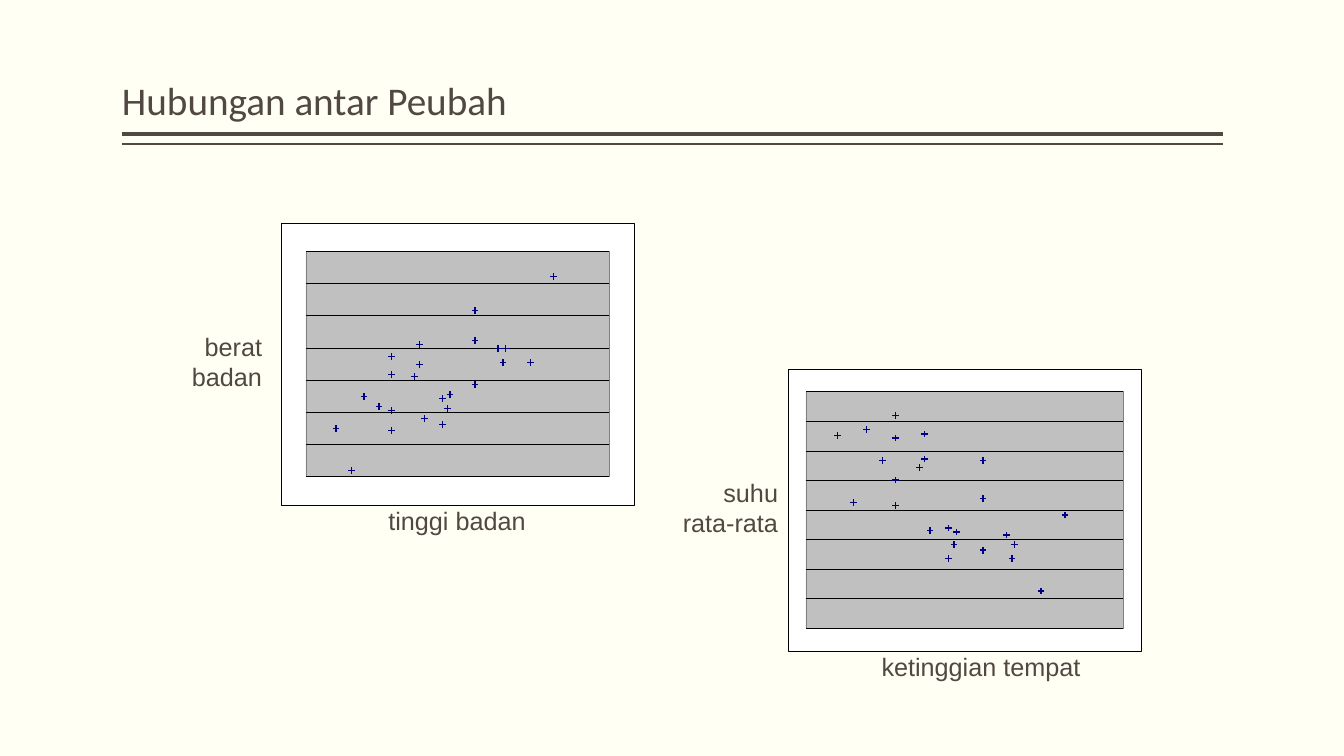
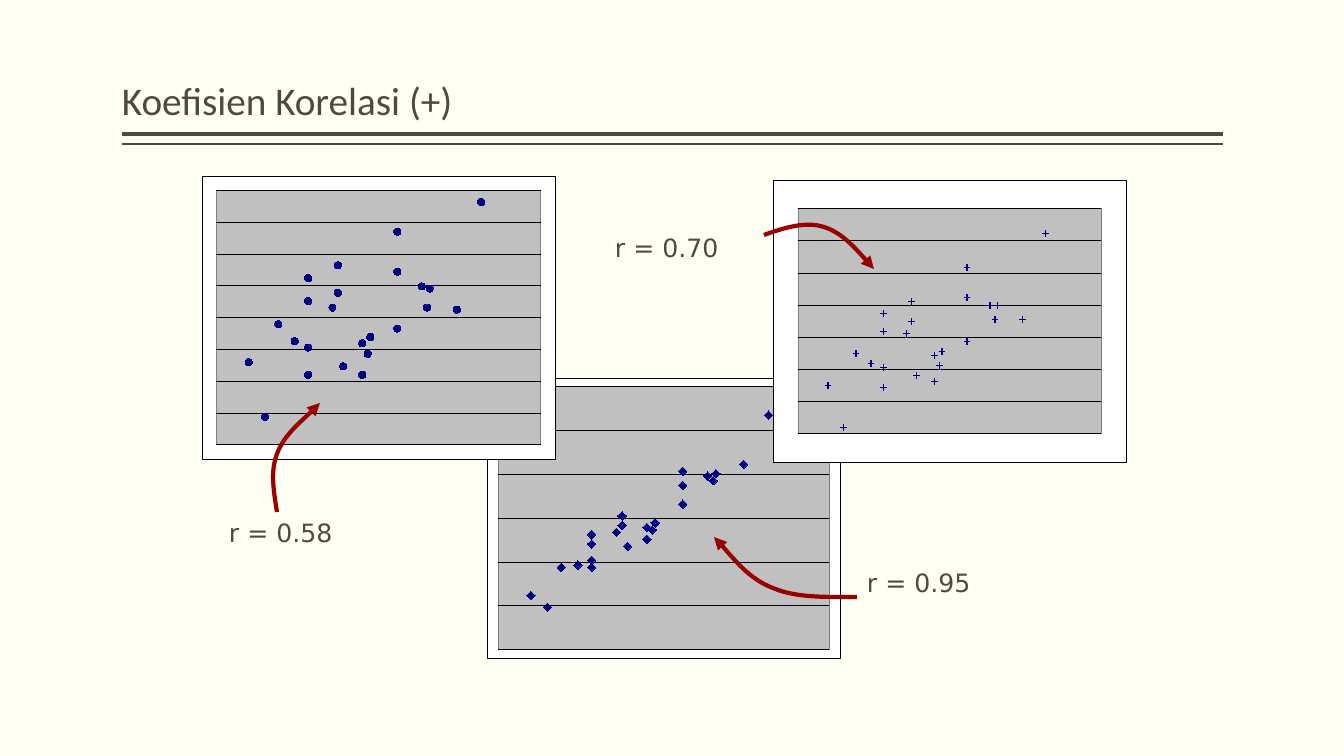
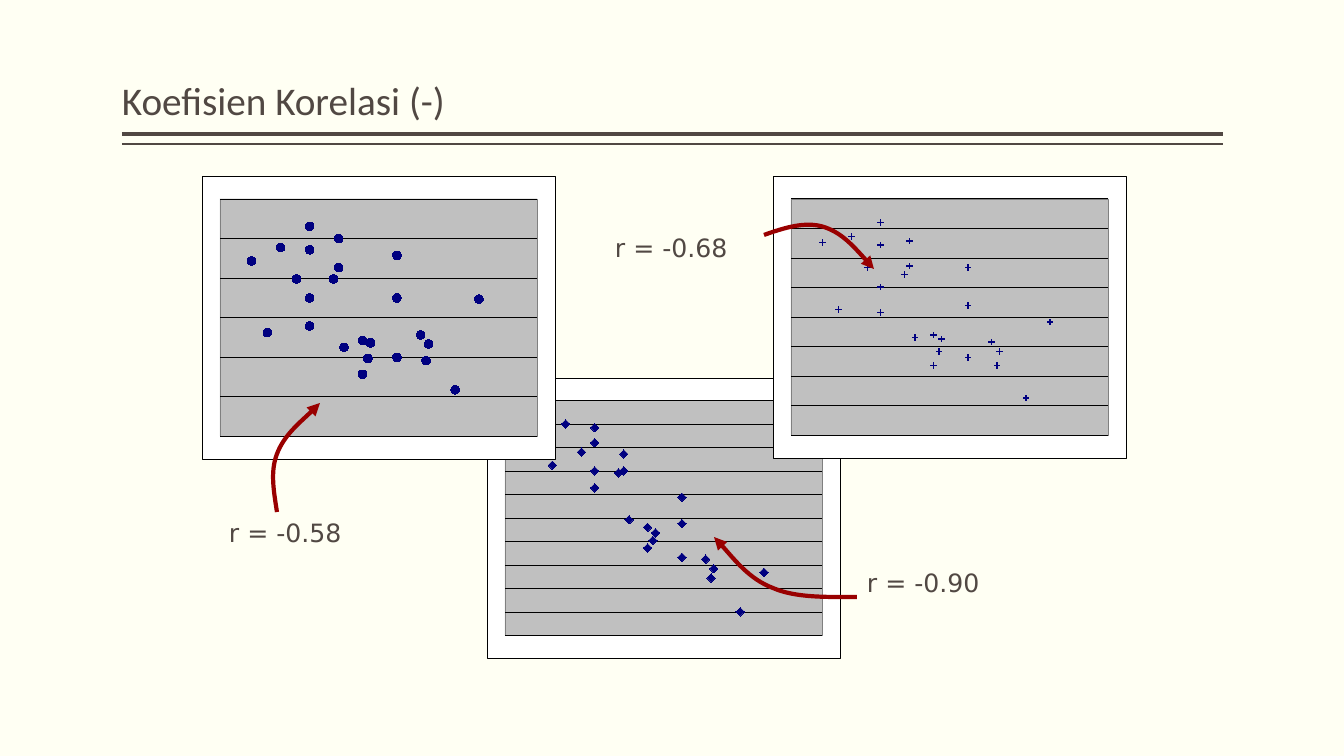
import collections

import pptx
import pptx.chart.data
import pptx.dml.color
import pptx.enum.chart
import pptx.enum.shapes
import pptx.enum.text
import pptx.oxml
import pptx.oxml.ns
import pptx.oxml.xmlchemy
import pptx.util

RGBColor = pptx.dml.color.RGBColor
Pt = pptx.util.Pt
qn = pptx.oxml.ns.qn
new_element = pptx.oxml.xmlchemy.OxmlElement
ALIGN = pptx.enum.text.PP_ALIGN
ANCHOR = pptx.enum.text.MSO_ANCHOR
MARKER = pptx.enum.chart.XL_MARKER_STYLE

EMU_PER_PX = 914400 / 100.8
IVORY = RGBColor(0xFF, 0xFF, 0xF3)
BROWN = RGBColor(0x51, 0x48, 0x43)
NAVY = RGBColor(0x00, 0x00, 0x80)
RED = RGBColor(0x99, 0x00, 0x00)
BLACK = RGBColor(0x00, 0x00, 0x00)
WHITE = RGBColor(0xFF, 0xFF, 0xFF)
SILVER = RGBColor(0xC0, 0xC0, 0xC0)
GREY = RGBColor(0x80, 0x80, 0x80)
HAIRLINE = 0.22

Box = collections.namedtuple("Box", "left top width height")
# The value axis runs from low to high, counted in steps of the given size.
Scatter = collections.namedtuple("Scatter", "values step low high margin_x margin_y marker size")

X_VALUES = [54, 34, 57, 23, 89, 76, 54, 67, 34, 56, 78, 34,
            67, 45, 47, 98, 12, 18, 43, 67, 45, 34, 29, 79]
POSITIVE_WEAK = Scatter(
    [18, 53, 36, 42, 49, 60, 33, 40, 31, 28, 50, 64,
     67, 70, 22, 100, 24, -2, 50, 86, 57, 18, 34, 59],
    15.1, -1, 7, 0.04, 0.05, MARKER.CIRCLE, 5)
POSITIVE_MEDIUM = Scatter(
    [26, 51, 41, 40, 57, 64, 39, 46, 33, 34, 57, 60,
     68, 66, 29, 100, 24, 3, 50, 83, 56, 23, 35, 64],
    16.1, 0, 7, 0.07, 0.1, MARKER.PLUS, 4)
POSITIVE_STRONG = Scatter(
    [47, 45, 54, 35, 79, 74, 52, 62, 38, 51, 72, 49,
     70, 57, 44, 100, 23, 18, 50, 76, 53, 35, 36, 75],
    18.7, 0, 6, 0.03, 0.03, MARKER.DIAMOND, 6)
NEGATIVE_WEAK = Scatter(
    [-86, 25, -58, 27, -100, -51, -56, -71, -18, -72, -74, 46,
     -18, 35, -62, -19, 15, -49, -1, 20, 9, -43, -1, -59],
    35.3, -4, 2, 0.05, 0.08, MARKER.CIRCLE, 6)
NEGATIVE_MEDIUM = Scatter(
    [-77, 9, -58, 15, -100, -60, -55, -71, -21, -67, -77, 25,
     -34, 12, -57, -46, 11, -37, -12, -7, -6, -39, -7, -67],
    21.1, -6, 2, 0.05, 0.08, MARKER.PLUS, 4)
NEGATIVE_STRONG = Scatter(
    [-66, -10, -58, 0, -100, -72, -55, -71, -25, -62, -82, -2,
     -53, -16, -51, -79, 5, -22, -26, -39, -25, -34, -15, -77],
    12.5, -9, 1, 0.05, 0.08, MARKER.DIAMOND, 6)

# Arrow curves: a start, then two controls and an end per bend,
# all measured from the top left corner of the label.
ARROW_UP = [(58, 0), (55, -20), (51, -40), (58, -58), (65, -77), (94, -101), (101, -109)]
ARROW_RIGHT = [(159, 8), (179, 1), (200, -6), (219, 0), (237, 6), (253, 24), (269, 42)]
ARROW_LEFT = [(0, 35), (-30, 35), (-61, 36), (-84, 26), (-108, 17), (-133, -15), (-143, -25)]


def px(length):
    return pptx.util.Emu(round(length * EMU_PER_PX))


def emu_box(box):
    return [px(length) for length in box]


def add_text(page, box, text, font="Arial", size=18, align=ALIGN.LEFT,
             anchor=ANCHOR.TOP, side_inset=10, line_spacing=None):
    frame = page.shapes.add_textbox(*emu_box(box)).text_frame
    frame.word_wrap = True
    frame.vertical_anchor = anchor
    frame.margin_left = frame.margin_right = px(side_inset)
    frame.margin_top = frame.margin_bottom = px(5)
    frame.text = text
    for para in frame.paragraphs:
        para.alignment = align
        para.line_spacing = line_spacing
        for span in para.runs:
            span.font.name = font
            span.font.size = Pt(size)
            span.font.color.rgb = BROWN


def add_rule(page, left, right, y, weight):
    rule = page.shapes.add_connector(
        pptx.enum.shapes.MSO_CONNECTOR.STRAIGHT, px(left), px(y), px(right), px(y))
    rule.line.color.rgb = BROWN
    rule.line.width = Pt(weight)
    rule._element.spPr.append(new_element("a:effectLst"))


def add_page(deck, title):
    """A page with its title and the double rule below it."""
    page = deck.slides.add_slide(deck.slide_layouts[6])
    box = Box(122, 8, 1101, 121)
    bottom = box.top + box.height
    for gap, weight in ((5, 3), (15, 1)):
        add_rule(page, box.left, box.left + box.width, bottom + gap, weight)
    add_text(page, box, title, font="Calibri", size=28, anchor=ANCHOR.BOTTOM,
             side_inset=0, line_spacing=0.9)
    return page


def area_format(fill, line):
    return pptx.oxml.parse_xml(
        f'<c:spPr {pptx.oxml.ns.nsdecls("c", "a")}>'
        f'<a:solidFill><a:srgbClr val="{fill}"/></a:solidFill>'
        f'<a:ln w="{int(Pt(HAIRLINE))}"><a:solidFill><a:srgbClr val="{line}"/></a:solidFill></a:ln>'
        '</c:spPr>')


def plot_layout(margin_x, margin_y):
    places = {"x": margin_x, "y": margin_y, "w": 1 - 2 * margin_x, "h": 1 - 2 * margin_y}
    parts = "".join(f'<c:{side}Mode val="edge"/>' for side in "xy")
    parts += "".join(f'<c:{name} val="{value:.2f}"/>' for name, value in places.items())
    return pptx.oxml.parse_xml(
        f'<c:layout {pptx.oxml.ns.nsdecls("c")}><c:manualLayout>'
        f'<c:layoutTarget val="inner"/>{parts}</c:manualLayout></c:layout>')


def add_scatter(page, box, scatter):
    data = pptx.chart.data.XyChartData()
    points = data.add_series("Series 1")
    for x, y in zip(X_VALUES, scatter.values):
        points.add_data_point(x, y)
    chart = page.shapes.add_chart(
        pptx.enum.chart.XL_CHART_TYPE.XY_SCATTER, *emu_box(box), data).chart
    chart.has_legend = False
    chart.has_title = False
    chart.font.name = "Arial"
    chart.font.size = Pt(4)
    chart.font.color.rgb = BLACK

    # Axes: only the horizontal grid shows
    across, up = chart.category_axis, chart.value_axis
    across.minimum_scale, across.maximum_scale, across.major_unit = 0, 120, 20
    up.minimum_scale = round(scatter.low * scatter.step, 2)
    up.maximum_scale = round(scatter.high * scatter.step, 2)
    up.major_unit = scatter.step
    across.visible = up.visible = False
    across.has_major_gridlines = False
    up.has_major_gridlines = True
    grid = up.major_gridlines.format.line
    grid.color.rgb = BLACK
    grid.width = Pt(HAIRLINE)

    # Markers without a joining line
    chart.plots[0].vary_by_categories = False
    series = chart.plots[0].series[0]
    series.smooth = False
    series.format.line.fill.background()
    marker = series.marker
    marker.style = scatter.marker
    marker.size = scatter.size
    marker.format.fill.solid()
    marker.format.fill.fore_color.rgb = NAVY
    marker.format.line.color.rgb = NAVY

    # White frame around a grey plot area
    space = chart._chartSpace
    space.find(qn("c:chart")).addnext(area_format(WHITE, BLACK))
    plot_area = space.find(qn("c:chart")).find(qn("c:plotArea"))
    for layout in plot_area.findall(qn("c:layout")):
        plot_area.remove(layout)
    plot_area.insert(0, plot_layout(scatter.margin_x, scatter.margin_y))
    plot_area.append(area_format(SILVER, GREY))


def add_curved_arrow(page, points):
    builder = page.shapes.build_freeform(*points[0], scale=EMU_PER_PX)
    builder.add_line_segments(points[1:], close=False)
    arrow = builder.convert_to_shape()
    arrow.shadow.inherit = False
    arrow.fill.background()
    arrow.line.color.rgb = RED
    arrow.line.width = Pt(3)
    # Turn each three segments into one Bezier bend
    segments = list(arrow._element.iter(qn("a:lnTo")))
    for start in range(0, len(segments), 3):
        bend = new_element("a:cubicBezTo")
        segments[start].addprevious(bend)
        for segment in segments[start:start + 3]:
            bend.append(segment[0])
            segment.getparent().remove(segment)
    head = new_element("a:tailEnd")
    head.set("type", "triangle")
    arrow.line._get_or_add_ln().append(head)


def add_callout(page, box, text, curve):
    add_text(page, box, text, font="DejaVu Sans")
    add_curved_arrow(page, [(box.left + x, box.top + y) for x, y in curve])


def add_labelled_scatter(page, box, scatter, x_label, x_shift, y_label, y_shift, y_width):
    """A scatter with one label below it and one on its left."""
    add_scatter(page, box, scatter)
    add_text(page, Box(box.left + x_shift, box.top + box.height - 5, 252, 40),
             x_label, align=ALIGN.CENTER)
    add_text(page, Box(box.left + y_shift - y_width, box.top + 103, y_width, 72),
             y_label, align=ALIGN.RIGHT)


def variables_page(deck):
    page = add_page(deck, "Hubungan antar Peubah")
    add_labelled_scatter(page, Box(281, 223, 353, 282), POSITIVE_MEDIUM,
                         "tinggi badan", 50, "berat\nbadan", -9, 93)
    add_labelled_scatter(page, Box(788, 369, 353, 282), NEGATIVE_MEDIUM,
                         "ketinggian tempat", 67, "suhu rata-rata", 0, 118)


def correlation_page(deck, title, weak, medium, strong, medium_top):
    """Three overlapping scatters; each is a pair of data and coefficient."""
    page = add_page(deck, title)
    add_scatter(page, Box(487, 378, 353, 280), strong[0])
    add_scatter(page, Box(202, 176, 353, 283), weak[0])
    add_scatter(page, Box(773, medium_top, 353, 282), medium[0])
    for left, top, text, curve in ((219, 512, weak[1], ARROW_UP),
                                   (605, 227, medium[1], ARROW_RIGHT),
                                   (857, 562, strong[1], ARROW_LEFT)):
        add_callout(page, Box(left, top, 244, 40), text, curve)


def main():
    deck = pptx.Presentation()
    deck.slide_width, deck.slide_height = px(1344), px(756)
    background = deck.slide_master.background.fill
    background.solid()
    background.fore_color.rgb = IVORY

    variables_page(deck)
    correlation_page(deck, "Koefisien Korelasi (+)", (POSITIVE_WEAK, "r = 0.58"),
                     (POSITIVE_MEDIUM, "r = 0.70"), (POSITIVE_STRONG, "r = 0.95"), 180)
    correlation_page(deck, "Koefisien Korelasi (-)", (NEGATIVE_WEAK, "r = -0.58"),
                     (NEGATIVE_MEDIUM, "r = -0.68"), (NEGATIVE_STRONG, "r = -0.90"), 176)
    deck.save("out.pptx")


if __name__ == "__main__":
    main()
